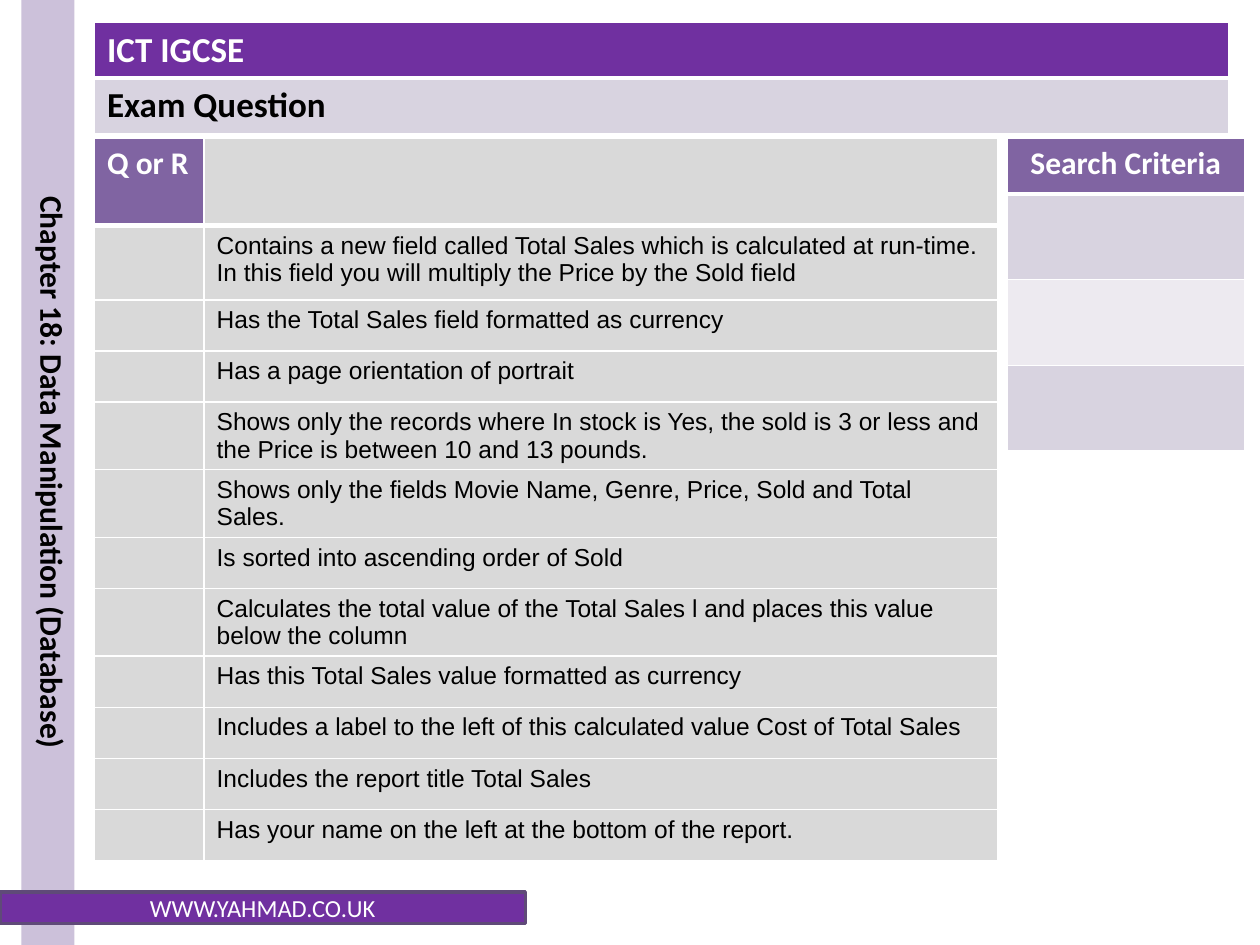
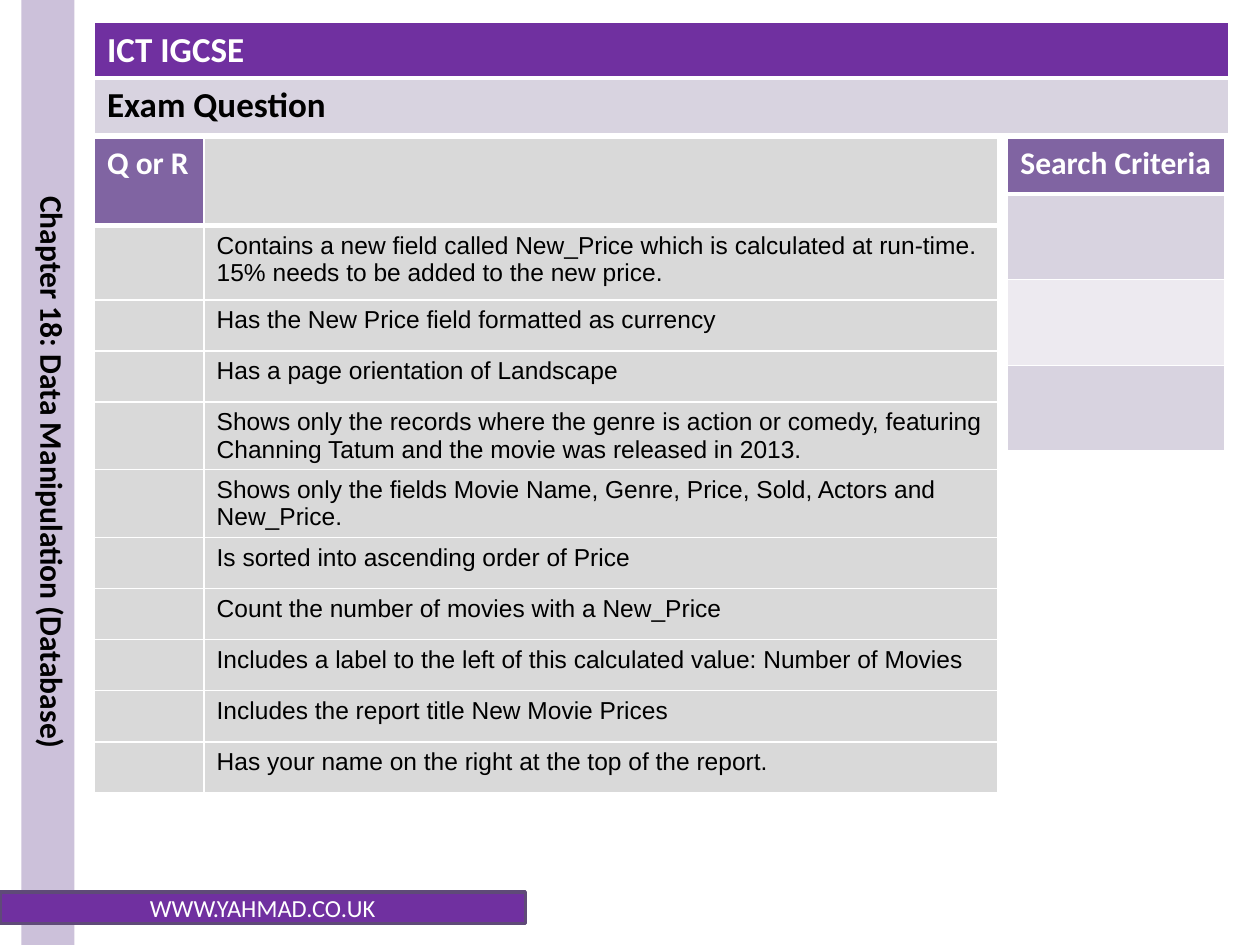
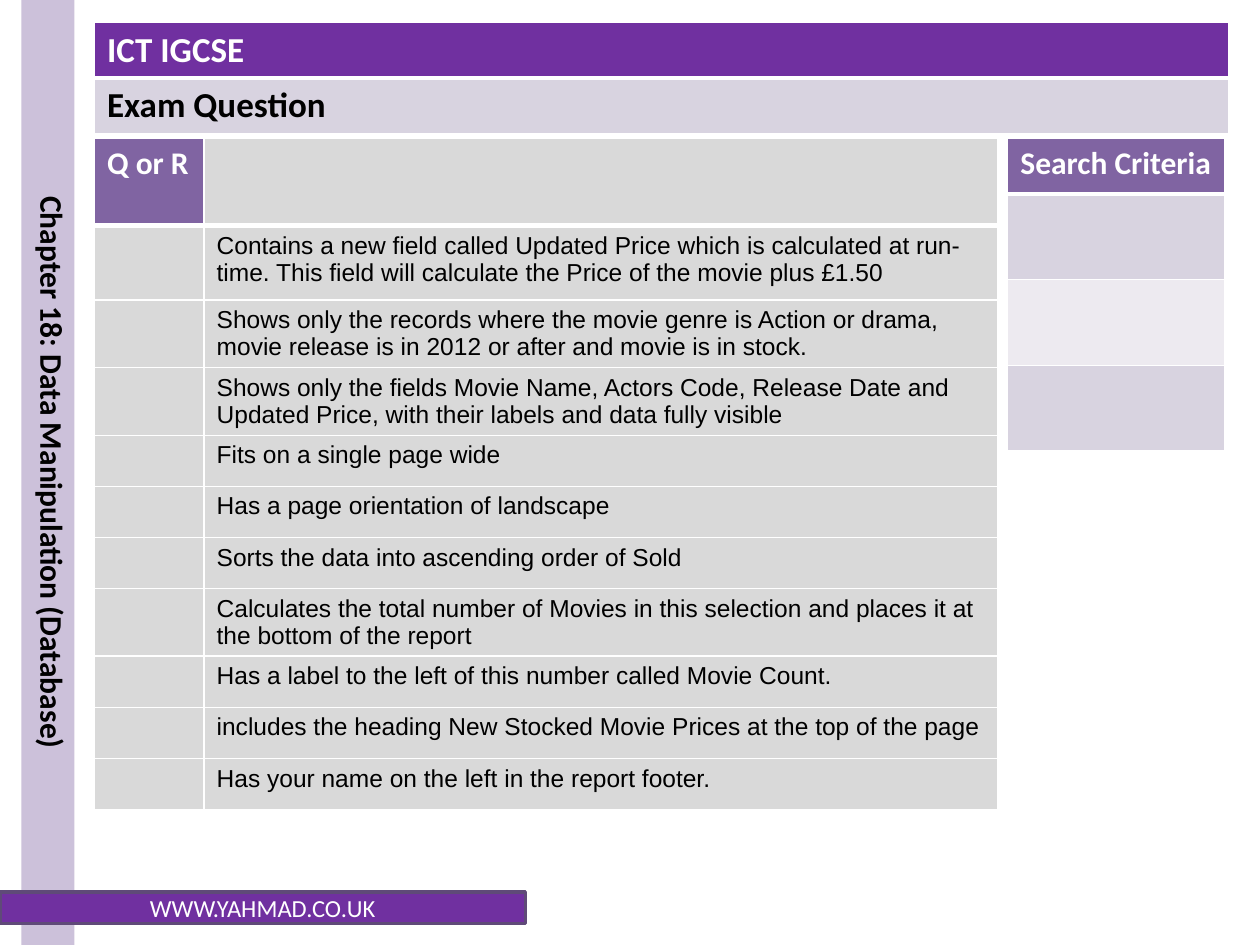
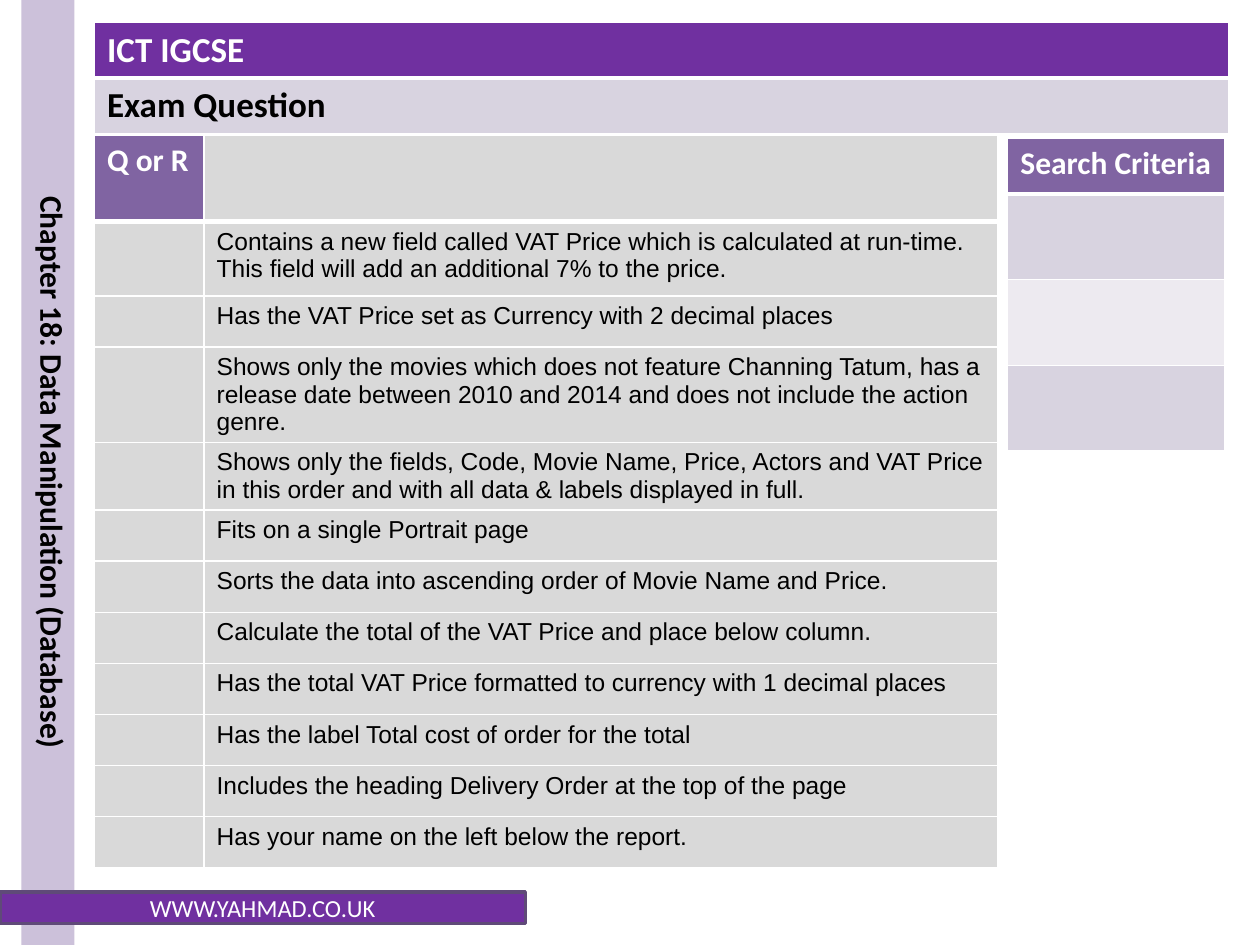
import pptx
import pptx.dml.color
import pptx.enum.shapes
import pptx.enum.text
import pptx.oxml
import pptx.oxml.ns
import pptx.util

Inches = pptx.util.Inches
Pt = pptx.util.Pt
CENTER = pptx.enum.text.PP_ALIGN.CENTER

COLORS = {
    "purple": "7030A0",
    "header": "8064A2",
    "lilac": "D8D3E0",
    "pale": "EDEAF0",
    "side": "CCC1DA",
    "outline": "5F4A78",
    "gray": "D9D9D9",
    "white": "FFFFFF",
    "black": "000000",
}

QUESTIONS = [
    {
        "box": (0.75, 1.1, 7.17, 5.63),
        "criteria_width": 1.89,
        "tasks": [
            (0.59, "Contains a new field called Total Sales which is calculated at run-time. In this field you will multiply the Price by the Sold field"),
            (0.36, "Has the Total Sales field formatted as currency"),
            (0.35, "Has a page orientation of portrait"),
            (0.51, "Shows only the records where In stock is Yes, the sold is 3 or less and the Price is between 10 and 13 pounds."),
            (0.33, "Shows only the fields Movie Name, Genre, Price, Sold and Total Sales."),
            (0.33, "Is sorted into ascending order of Sold"),
            (0.48, "Calculates the total value of the Total Sales l and places this value below the column"),
            (0.31, "Has this Total Sales value formatted as currency"),
            (0.38, "Includes a label to the left of this calculated value Cost of Total Sales"),
            (0.29, "Includes the report title Total Sales"),
            (0.36, "Has your name on the left at the bottom of the report."),
        ],
    },
    {
        "box": (0.75, 1.1, 7.17, 5.23),
        "criteria_width": 1.73,
        "tasks": [
            (0.59, "Contains a new field called New_Price which is calculated at run-time. 15% needs to be added to the new price."),
            (0.36, "Has the New Price field formatted as currency"),
            (0.35, "Has a page orientation of Landscape"),
            (0.51, "Shows only the records where the genre is action or comedy, featuring Channing Tatum and the movie was released in 2013."),
            (0.33, "Shows only the fields Movie Name, Genre, Price, Sold, Actors and New_Price."),
            (0.33, "Is sorted into ascending order of Price"),
            (0.36, "Count the number of movies with a New_Price"),
            (0.38, "Includes a label to the left of this calculated value: Number of Movies"),
            (0.29, "Includes the report title New Movie Prices"),
            (0.36, "Has your name on the right at the top of the report."),
        ],
    },
    {
        "box": (0.75, 1.1, 7.17, 5.39),
        "criteria_width": 1.73,
        "tasks": [
            (0.59, "Contains a new field called Updated Price which is calculated at run-time. This field will calculate the Price of the movie plus £1.50"),
            (0.36, "Shows only the records where the movie genre is Action or drama, movie release is in 2012 or after and movie is in stock."),
            (0.35, "Shows only the fields Movie Name, Actors Code, Release Date and Updated Price, with their labels and data fully visible"),
            (0.33, "Fits on a single page wide"),
            (0.32, "Has a page orientation of landscape"),
            (0.24, "Sorts the data into ascending order of Sold"),
            (0.36, "Calculates the total number of Movies in this selection and places it at the bottom of the report"),
            (0.38, "Has a label to the left of this number called Movie Count."),
            (0.29, "includes the heading New Stocked Movie Prices at the top of the page"),
            (0.36, "Has your name on the left in the report footer."),
        ],
    },
    {
        "box": (0.75, 1.07, 7.17, 5.86),
        "criteria_width": 1.73,
        "tasks": [
            (0.59, "Contains a new field called VAT Price which is calculated at run-time. This field will add an additional 7% to the price."),
            (0.36, "Has the VAT Price set as Currency with 2 decimal places"),
            (0.35, "Shows only the movies which does not feature Channing Tatum, has a release date between 2010 and 2014 and does not include the action genre."),
            (0.51, "Shows only the fields, Code, Movie Name, Price, Actors and VAT Price in this order and with all data & labels displayed in full."),
            (0.33, "Fits on a single Portrait page"),
            (0.33, "Sorts the data into ascending order of Movie Name and Price."),
            (0.36, "Calculate the total of the VAT Price and place below column."),
            (0.38, "Has the total VAT Price formatted to currency with 1 decimal places"),
            (0.29, "Has the label Total cost of order for the total"),
            (0.34, "Includes the heading Delivery Order at the top of the page"),
            (0.34, "Has your name on the left below the report."),
        ],
    },
]


def rgb(color):
    return pptx.dml.color.RGBColor.from_string(COLORS[color])


def write(text_frame, text, size, color, font="Calibri", bold=False, align=None):
    paragraph = text_frame.paragraphs[0]
    paragraph.text = text
    paragraph.alignment = align
    paragraph.font.size = Pt(size)
    paragraph.font.name = font
    paragraph.font.bold = bold
    paragraph.font.color.rgb = rgb(color)


def style_cell(cell, fill, bottom=1):
    properties = cell._tc.get_or_add_tcPr()
    for side, width in (("L", 1), ("R", 1), ("T", 1), ("B", bottom)):
        properties.append(pptx.oxml.parse_xml(
            f'<a:ln{side} {pptx.oxml.ns.nsdecls("a")} w="{Pt(width)}">'
            f'<a:solidFill><a:srgbClr val="{COLORS["white"]}"/></a:solidFill></a:ln{side}>'
        ))
    cell.fill.solid()
    cell.fill.fore_color.rgb = rgb(fill)


def add_grid(slide, box, columns, rows):
    frame = slide.shapes.add_table(len(rows), len(columns), *map(Inches, box))
    table = frame.table
    table.first_row = table.horz_banding = False
    for column, width in zip(table.columns, columns):
        column.width = Inches(width)
    for row, height in zip(table.rows, rows):
        row.height = Inches(height)
    frame.height = Inches(box[3])
    return table


def add_bar(slide, box, fill):
    bar = slide.shapes.add_shape(pptx.enum.shapes.MSO_SHAPE.RECTANGLE, *map(Inches, box))
    bar.shadow.inherit = False
    bar.fill.solid()
    bar.fill.fore_color.rgb = rgb(fill)
    bar.line.fill.background()
    return bar


def add_title_bands(slide, box):
    table = add_grid(slide, box, [box[2]], [0.42, 0.41])
    bands = (("ICT IGCSE", "white", "purple", 3), ("Exam Question", "black", "lilac", 1))
    for row, (text, color, fill, bottom) in enumerate(bands):
        cell = table.cell(row, 0)
        style_cell(cell, fill, bottom)
        write(cell.text_frame, text, 20, color, bold=True)


def add_chapter_band(slide, box):
    left, top, width, height = box
    add_bar(slide, box, "side")
    label = slide.shapes.add_textbox(*map(Inches, (left - 0.05, top, width + 0.08, height)))
    text_frame = label.text_frame
    text_frame.word_wrap = True
    text_frame.auto_size = pptx.enum.text.MSO_AUTO_SIZE.SHAPE_TO_FIT_TEXT
    text_frame._txBody.bodyPr.set("vert", "vert")
    write(text_frame, "Chapter 18: Data Manipulation (Database)", 18, "black", bold=True, align=CENTER)


def add_footer(slide, box):
    footer = add_bar(slide, box, "purple")
    footer.line.color.rgb = rgb("outline")
    footer.line.width = Pt(2)
    footer.text_frame.vertical_anchor = pptx.enum.text.MSO_ANCHOR.MIDDLE
    write(footer.text_frame, "WWW.YAHMAD.CO.UK", 14, "white", align=CENTER)


def add_task_table(slide, box, tasks):
    answer_width = 0.87
    heights = [0.69] + [height for height, text in tasks]
    table = add_grid(slide, box, [answer_width, box[2] - answer_width], heights)
    style_cell(table.cell(0, 0), "header", 3)
    style_cell(table.cell(0, 1), "gray", 3)
    write(table.cell(0, 0).text_frame, "Q or R", 18, "white", bold=True)
    for row, (height, text) in enumerate(tasks, 1):
        for column in range(2):
            style_cell(table.cell(row, column), "gray")
        write(table.cell(row, 1).text_frame, text, 14, "black", font="Arial")


def add_criteria_table(slide, box):
    table = add_grid(slide, box, [box[2]], [0.44] + [0.68] * 3)
    style_cell(table.cell(0, 0), "header", 3)
    write(table.cell(0, 0).text_frame, "Search Criteria", 18, "white", bold=True, align=CENTER)
    for row, fill in enumerate(("lilac", "pale", "lilac"), 1):
        style_cell(table.cell(row, 0), fill)


def add_question_slide(presentation, question):
    slide = presentation.slides.add_slide(presentation.slide_layouts.get_by_name("Blank"))
    add_title_bands(slide, (0.75, 0.18, 9, 0.87))
    add_chapter_band(slide, (0.17, 0, 0.42, 7.5))
    add_footer(slide, (0, 7.08, 4.17, 0.25))
    add_task_table(slide, question["box"], question["tasks"])
    add_criteria_table(slide, (7.99, 1.1, question["criteria_width"], 2.47))


def main():
    presentation = pptx.Presentation()
    presentation.slide_width = Inches(10)
    presentation.slide_height = Inches(7.5)
    for question in QUESTIONS:
        add_question_slide(presentation, question)
    presentation.save("out.pptx")


if __name__ == "__main__":
    main()
